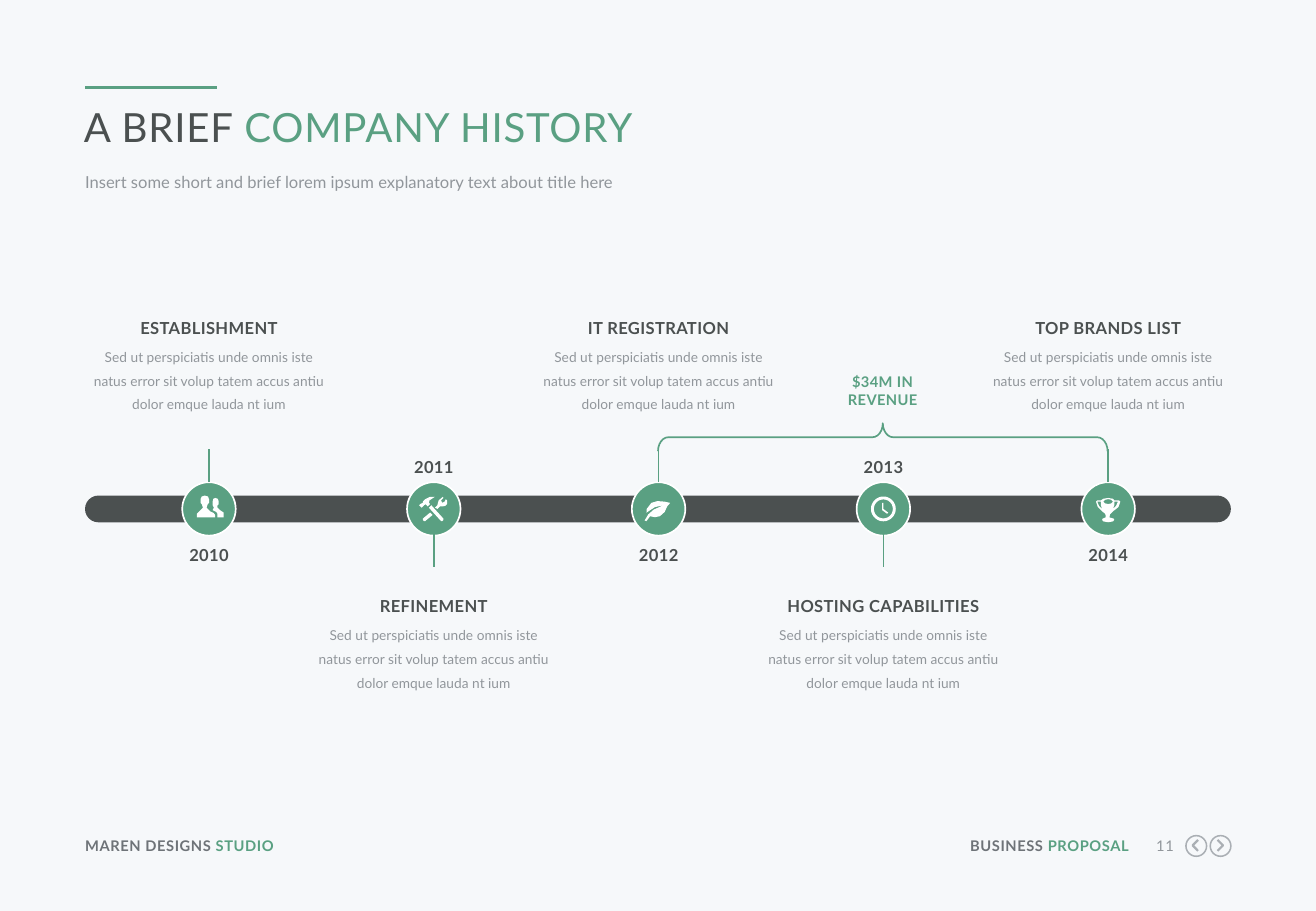
from dataclasses import dataclass
from math import cos, pi, sin

from lxml.etree import SubElement
from pptx import Presentation
from pptx.dml.color import RGBColor
from pptx.enum.shapes import MSO_CONNECTOR, MSO_SHAPE
from pptx.enum.text import MSO_ANCHOR, PP_ALIGN
from pptx.oxml.ns import qn
from pptx.shapes.connector import Connector
from pptx.util import Inches, Pt


@dataclass(frozen=True)
class Theme:
    font: str = "Lato"
    background: RGBColor = RGBColor(0xF6, 0xF8, 0xFA)
    green: RGBColor = RGBColor(0x5A, 0xA0, 0x82)
    dark: RGBColor = RGBColor(0x4B, 0x50, 0x50)
    footer: RGBColor = RGBColor(0x6E, 0x73, 0x78)
    muted: RGBColor = RGBColor(0x91, 0x96, 0x9B)
    navigation: RGBColor = RGBColor(0xAA, 0xAF, 0xB4)
    white: RGBColor = RGBColor(0xFF, 0xFF, 0xFF)
    title_size: Pt = Pt(23.8)
    heading_size: Pt = Pt(9.8)
    small_size: Pt = Pt(8.7)
    body_size: Pt = Pt(8.1)


theme = Theme()
presentation = Presentation()
presentation.slide_width, presentation.slide_height = Inches(10.83), Inches(7.5)
slide = presentation.slides.add_slide(presentation.slide_layouts[5])
slide.background.fill.solid()
slide.background.fill.fore_color.rgb = theme.background
shapes = slide.shapes


def write_text(place, runs, size, bold=False, align=PP_ALIGN.LEFT, spacing=0, shape=None):
    """Fill a text box, or the given shape, with (text, colour) runs and return its paragraph.

    spacing is the space between letters in hundredths of a point.
    """
    left, top, width, height = (Inches(length) for length in place)
    shape = shape or shapes.add_textbox(left, top, width, height)
    shape.left, shape.top, shape.width, shape.height = left, top, width, height
    frame = shape.text_frame
    frame.margin_left = frame.margin_top = frame.margin_right = frame.margin_bottom = 0
    frame.word_wrap = True
    frame.vertical_anchor = MSO_ANCHOR.TOP
    paragraph = frame.paragraphs[0]
    paragraph.alignment = align
    paragraph.font.name = theme.font
    paragraph.font.size = size
    paragraph.font.bold = bold
    for text, color in runs:
        run = paragraph.add_run()
        run.text = text
        run.font.color.rgb = color
        if spacing:
            run._r.get_or_add_rPr().set("spc", str(spacing))
    return paragraph


def draw_outline(center_x, center_y, contours, close=True):
    """Draw contours given in thousandths of an inch from a center point."""
    builder = shapes.build_freeform(*contours[0][0], scale=Inches(1) / 1000)
    for index, contour in enumerate(contours):
        if index:
            builder.move_to(*contour[0])
        builder.add_line_segments(contour[1:], close=close)
    return builder.convert_to_shape(Inches(center_x), Inches(center_y))


# Header
write_text((0.69, 0.84, 9.42, 0.41), [("A BRIEF ", theme.dark), ("COMPANY HISTORY", theme.green)],
           theme.title_size, spacing=50, shape=shapes.title)
subtitle = write_text(
    (0.7, 1.4, 9.42, 0.21),
    [("Insert some short and brief lorem ipsum explanatory text about title here", theme.muted)],
    theme.heading_size)
subtitle.line_spacing = Pt(13)
accent = shapes.add_connector(
    MSO_CONNECTOR.STRAIGHT, Inches(0.7), Inches(0.72), Inches(1.79), Inches(0.72))
accent.line.color.rgb = theme.green
accent.line.width = Pt(2.25)

# Footer
write_text((0.7, 6.89, 2.11, 0.15), [("MAREN DESIGNS ", theme.footer), ("STUDIO", theme.green)],
           theme.small_size, bold=True, spacing=30)
write_text((7.92, 6.89, 1.37, 0.15), [("BUSINESS ", theme.footer), ("PROPOSAL", theme.green)],
           theme.small_size, bold=True, align=PP_ALIGN.RIGHT, spacing=30)
write_text((9.41, 6.89, 0.25, 0.15), [("11", theme.muted)],
           theme.small_size, align=PP_ALIGN.RIGHT, spacing=30)
for center_x, direction in ((9.84, -1), (10.04, 1)):
    ring = shapes.add_shape(MSO_SHAPE.OVAL, Inches(center_x - 0.08), Inches(6.88),
                            Inches(0.17), Inches(0.17))
    chevron = draw_outline(
        center_x, 6.96, [[(-20 * direction, -45), (25 * direction, 0), (-20 * direction, 45)]],
        close=False)
    for shape, width in ((ring, 0.9), (chevron, 1.3)):
        shape.fill.background()
        shape.line.color.rgb = theme.navigation
        shape.line.width = Pt(width)

# Revenue brace and timeline bar
brace = shapes.add_shape(MSO_SHAPE.LEFT_BRACE, Inches(7.15), Inches(1.75), Inches(0.23), Inches(3.7))
brace.rotation = 90
brace.adjustments[0] = 0.37
brace.fill.background()
brace.line.color.rgb = theme.green
brace.line.width = Pt(1)
write_text((6.83, 3.07, 0.87, 0.29), [("$34M IN REVENUE", theme.green)],
           theme.small_size, bold=True, align=PP_ALIGN.CENTER, spacing=20)
bar = shapes.add_shape(
    MSO_SHAPE.ROUNDED_RECTANGLE, Inches(0.7), Inches(4.08), Inches(9.43), Inches(0.22))
bar.adjustments[0] = 0.5
bar.fill.solid()
bar.fill.fore_color.rgb = theme.dark
bar.line.fill.background()

# Icon contours
people = [
    [(50, 50), (50, 70), (-100, 70), (-100, 40), (-80, 20), (-50, -10), (-60, -40), (-70, -50),
     (-70, -80), (-60, -102), (-35, -110), (-8, -102), (0, -80), (0, -50), (-10, -40), (-20, -10),
     (10, 20), (40, 35)],
    [(70, 70), (70, 40), (60, 25), (30, 10), (40, -10), (30, -30), (30, -60), (35, -83), (52, -90),
     (73, -83), (80, -60), (80, -40), (70, -30), (70, -10), (90, 10), (120, 30), (120, 70)],
]
tools = [
    [(-80, -30), (-65, -38), (-50, -20), (-30, -40), (-40, -50), (-35, -70), (10, -100),
     (-30, -100), (-70, -80), (-90, -60), (-90, -50), (-110, -40), (-120, -30), (-100, -10),
     (-90, -20)],
    [(-20, -30), (-40, -10), (60, 100), (70, 100), (80, 90), (80, 80)],
    [(110, -70), (100, -80), (90, -60), (70, -50), (60, -70), (80, -90), (75, -100), (40, -70),
     (30, -30), (10, -10), (30, 0), (50, -20), (70, -20), (95, -25), (110, -40)],
    [(-90, 80), (-90, 90), (-80, 100), (-70, 100), (-10, 50), (-30, 30)],
]
leaf = [
    [(95, -50), (70, -20), (50, 25), (10, 60), (-30, 68), (-70, 60), (-100, 100), (-115, 95),
     (-85, 45), (-40, 5), (40, -30), (-30, -15), (-100, 30), (-98, 0), (-60, -50), (-10, -65),
     (50, -60)],
]
clock = [
    [(radius * cos(step * pi / 24), radius * sin(step * pi / 24)) for step in range(48)]
    for radius in (102, 78)
] + [[(0, 0), (40, 30), (30, 40), (-10, 10), (-10, -50), (0, -50)]]
trophy = [
    [(10, 70), (45, 80), (50, 90), (40, 103), (0, 110), (-40, 103), (-50, 90), (-45, 80),
     (-20, 70), (-20, 55), (-25, 40), (-50, 20), (-85, -15), (-100, -60), (-90, -70), (-60, -70),
     (-40, -83), (0, -90), (40, -83), (50, -70), (90, -70), (100, -60), (85, -15), (40, 20),
     (15, 45)],
    [(-50, 0), (-60, -30), (-60, -60), (-90, -60), (-75, -25)],
    [(-40, -60), (-25, -45), (0, -40), (25, -45), (40, -60), (25, -75), (0, -80), (-25, -75)],
    [(80, -60), (50, -60), (50, -30), (40, 0), (65, -25)],
]

# Milestones alternate above and below the bar
milestones = [
    ("2010", "ESTABLISHMENT", people),
    ("2011", "REFINEMENT", tools),
    ("2012", "IT REGISTRATION", leaf),
    ("2013", "HOSTING CAPABILITIES", clock),
    ("2014", "TOP BRANDS LIST", trophy),
]
description = ("Sed ut perspiciatis unde omnis iste natus error sit volup tatem "
               "accus antiu dolor emque lauda nt ium")
for index, (year, heading, icon) in enumerate(milestones):
    center_x = 1.72 + 1.85 * index
    if index % 2 == 0:
        year_top, heading_top, stem_start, stem_end = 4.49, 2.62, 3.97, 3.7
    else:
        year_top, heading_top, stem_start, stem_end = 3.76, 4.91, 4.4, 4.67
    for text, left, top, width in ((year, center_x - 0.24, year_top, 0.48),
                                   (heading, center_x - 0.95, heading_top, 1.9)):
        write_text((left, top, width, 0.16), [(text, theme.dark)], theme.heading_size,
                   bold=True, align=PP_ALIGN.CENTER, spacing=20)
    body = write_text((center_x - 0.95, heading_top + 0.19, 1.9, 0.59),
                      [(description, theme.muted)], theme.body_size, align=PP_ALIGN.CENTER)
    body.line_spacing = Pt(14.1)
    marker = shapes.add_shape(
        MSO_SHAPE.OVAL, Inches(center_x - 0.22), Inches(3.97), Inches(0.44), Inches(0.44))
    marker.fill.solid()
    marker.fill.fore_color.rgb = theme.green
    marker.line.color.rgb = theme.white
    marker.line.width = Pt(1)
    stem = shapes.add_connector(MSO_CONNECTOR.STRAIGHT, Inches(center_x), Inches(stem_start),
                                Inches(center_x), Inches(stem_end))
    stem.line.color.rgb = theme.green
    stem.line.width = Pt(1)
    symbol = draw_outline(center_x, 4.19, icon)
    symbol.fill.solid()
    symbol.fill.fore_color.rgb = theme.white
    symbol.line.fill.background()

for shape in shapes:
    if isinstance(shape, Connector):
        SubElement(shape._element.spPr, qn("a:effectLst"))
    else:
        shape.shadow.inherit = False

presentation.save("out.pptx")
